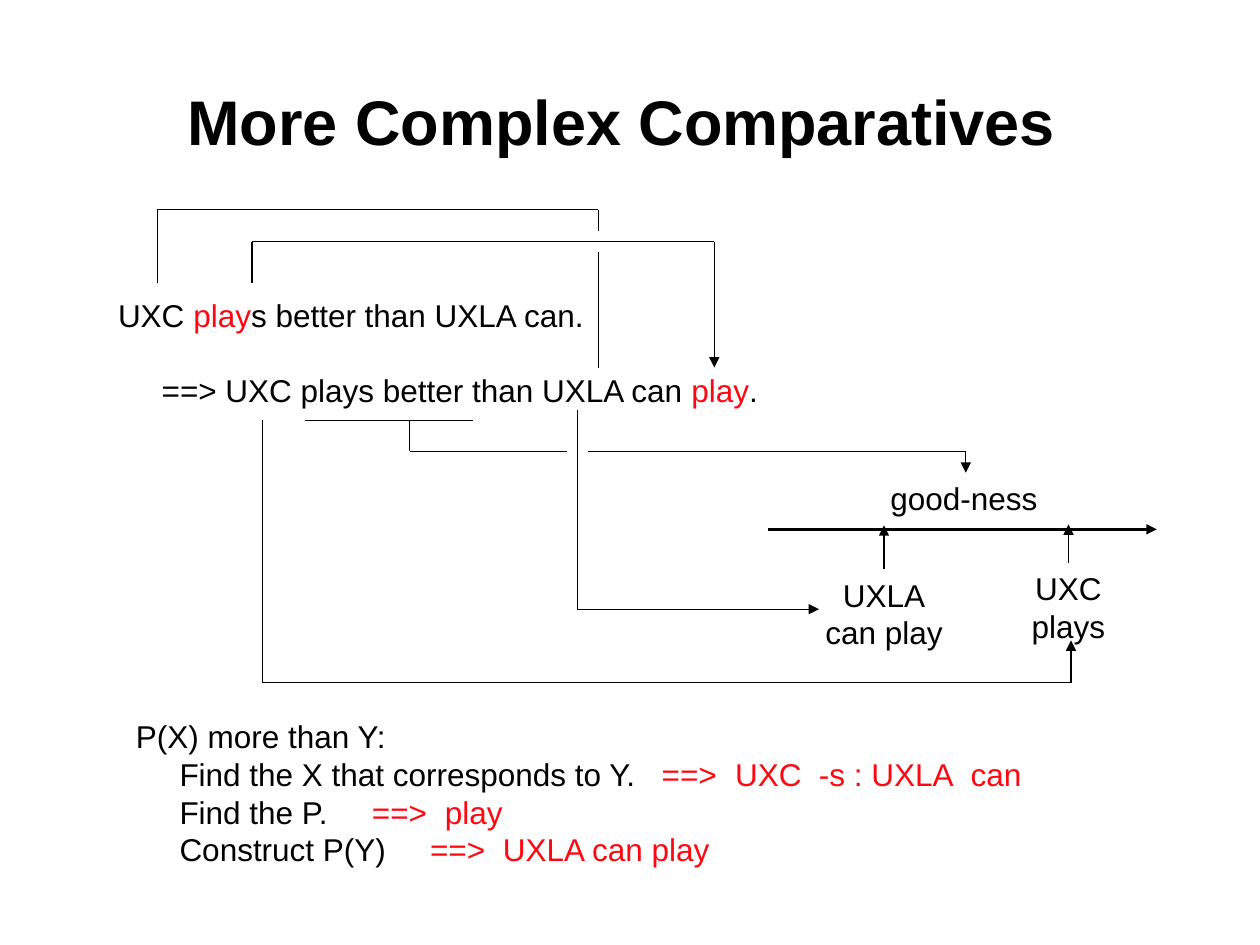
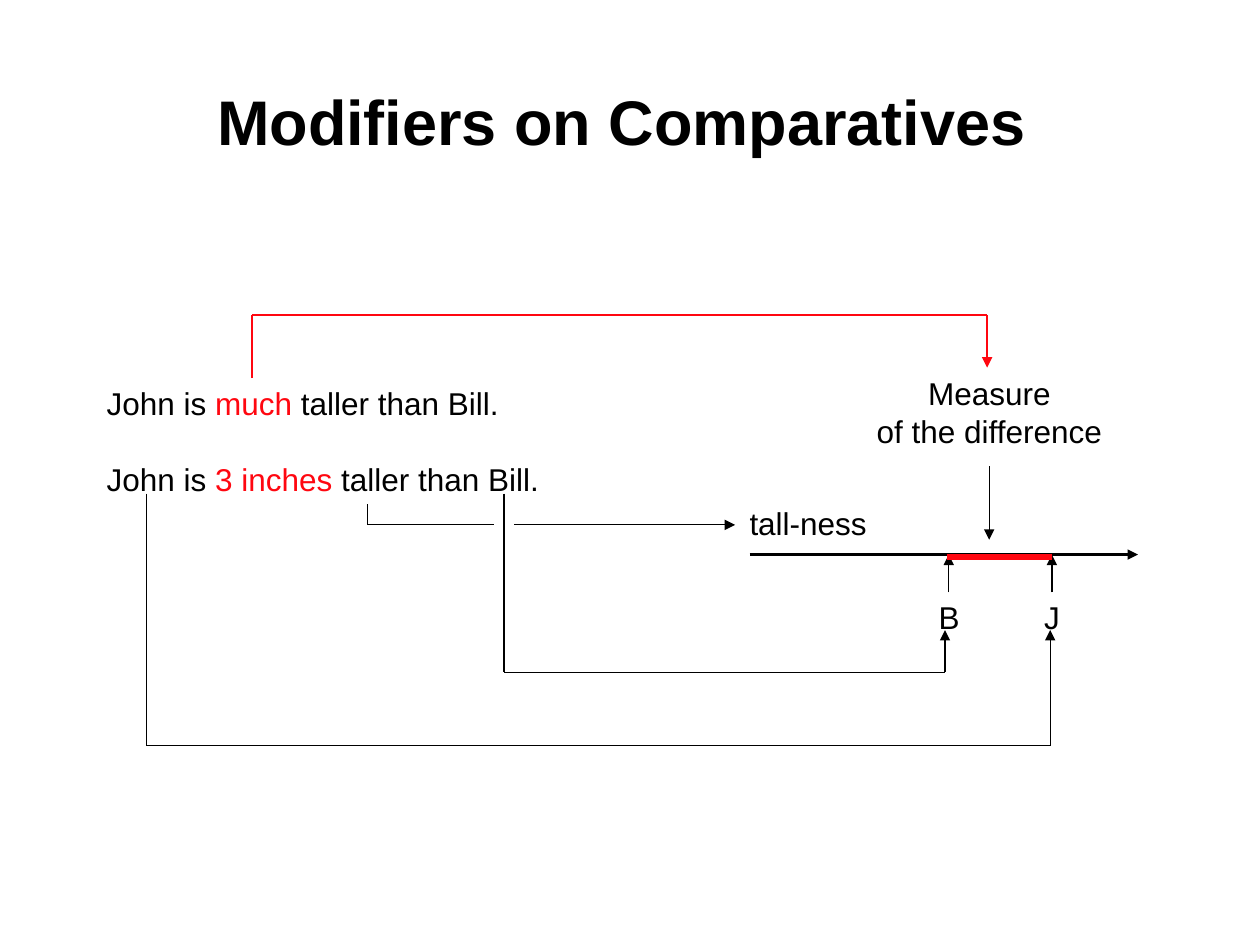
from dataclasses import dataclass
from itertools import pairwise

from pptx import Presentation
from pptx.dml.color import RGBColor
from pptx.enum import shapes, text
from pptx.oxml import ns, xmlchemy as xml
from pptx.util import Cm, Pt


@dataclass(frozen=True)
class Theme:
    font: str = "Arial"
    ink: RGBColor = RGBColor(0, 0, 0)
    red: RGBColor = RGBColor(0xFF, 0x07, 0x10)
    head: float = 36
    body: float = 18
    pitch: float = 21.6
    thin: float = 0.75
    bold: float = 1.5
    thick: float = 3


T = Theme()


@dataclass(frozen=True)
class Para:
    text: str
    tabs: tuple[float, ...] = ()
    gap: float = 0


@dataclass(frozen=True)
class Note:
    box: tuple[float, float, float, float]
    paras: tuple[Para, ...]
    mid: bool = False
    wrap: bool = False
    tick: float | None = None


@dataclass(frozen=True)
class Route:
    points: tuple[tuple[float, float], ...]
    arrow: bool = False
    color: RGBColor = T.ink
    width: float = T.thin


@dataclass(frozen=True)
class Page:
    title: str
    notes: tuple[Note, ...]
    routes: tuple[Route, ...]


def add_text(slide, box, paras: tuple[Para, ...], *, size=T.body, bold=False,
             mid=False, wrap=False, fit=True, pitch=None):
    shape = slide.shapes.add_textbox(*map(Cm, box))
    frame = shape.text_frame
    frame.word_wrap = wrap
    frame.auto_size = (text.MSO_AUTO_SIZE.SHAPE_TO_FIT_TEXT if fit
                       else text.MSO_AUTO_SIZE.NONE)
    frame.vertical_anchor = text.MSO_ANCHOR.TOP if fit else text.MSO_ANCHOR.MIDDLE
    for i, para in enumerate(paras):
        line = frame.add_paragraph() if i else frame.paragraphs[0]
        line.alignment = text.PP_ALIGN.CENTER if mid else text.PP_ALIGN.LEFT
        line.space_before = Pt(para.gap)
        if pitch:
            line.line_spacing = Pt(pitch)
        if para.tabs:
            stops = xml.OxmlElement("a:tabLst")
            for pos in para.tabs:
                stop = xml.OxmlElement("a:tab")
                stop.set("pos", str(Cm(pos)))
                stop.set("algn", "l")
                stops.append(stop)
            line._p.get_or_add_pPr().append(stops)
        for n, part in enumerate(para.text.split("*")):
            if part:
                run = line.add_run()
                run.text = part
                run.font.name = T.font
                run.font.size = Pt(size)
                run.font.bold = bold
                run.font.color.rgb = T.red if n % 2 else T.ink
    return shape


def add_line(slide, start, end, color=T.ink, width=T.thin, arrow=False):
    line = slide.shapes.add_connector(
        shapes.MSO_CONNECTOR.STRAIGHT, *map(Cm, (*start, *end)))
    line.line.color.rgb = color
    line.line.width = Pt(width)
    if arrow:
        tip = xml.OxmlElement("a:tailEnd")
        tip.set("type", "triangle")
        line.line._get_or_add_ln().append(tip)
    props = line._element.find(ns.qn("p:spPr"))
    props.append(xml.OxmlElement("a:effectLst"))
    return line


def draw_note(slide, note: Note) -> None:
    shape = add_text(slide, note.box, note.paras, mid=note.mid,
                     wrap=note.wrap, pitch=T.pitch)
    if note.tick is not None:
        left, top, width, _ = note.box
        x = left + width / 2
        line = add_line(slide, (x, top), (x, note.tick), arrow=True)
        line.begin_connect(shape, 0)


def draw_route(slide, route: Route) -> None:
    legs = list(pairwise(route.points))
    for i, (start, end) in enumerate(legs, 1):
        add_line(slide, start, end, route.color, route.width,
                 route.arrow and i == len(legs))


def draw_page(deck, page: Page) -> None:
    slide = deck.slides.add_slide(deck.slide_layouts[6])
    add_text(slide, (1.73, 0.84, 21.6, 3.18), (Para(page.title),),
             size=T.head, bold=True, mid=True, wrap=True, fit=False)
    for note in page.notes:
        draw_note(slide, note)
    for route in page.routes:
        draw_route(slide, route)


PAGES = (
    Page(
        "More Complex Comparatives",
        (
            Note((2.13, 5.84, 13.46, 2.54), (
                Para("UXC *play*s better than UXLA can."),
                Para("\t==> UXC plays better than UXLA can *play*.",
                     (0.88,), T.pitch),
            )),
            Note((20.44, 11.35, 2.2, 1.78), (Para("UXC"), Para("plays")),
                 mid=True, tick=10.57),
            Note((16.32, 11.48, 3, 1.78), (Para("UXLA"), Para("can play")),
                 mid=True, tick=10.59),
            Note((17.7, 9.53, 3.8, 1.02), (Para("good-ness"),)),
            Note((2.49, 14.33, 18.8, 3.3), (
                Para("P(X) more than Y:"),
                Para("\tFind the X that corresponds to Y.\t*==>\tUXC\t-s : UXLA\tcan*",
                     (0.88, 10.6, 12.08, 13.77, 16.83)),
                Para("\tFind the P.\t*==>\tplay*", (0.88, 4.76, 6.23)),
                Para("\tConstruct P(Y)\t*==>\tUXLA can play*",
                     (0.88, 5.93, 7.4)),
            ), wrap=True),
        ),
        (
            Route(((15.49, 10.67), (23.32, 10.67)), True, width=T.bold),
            Route(((5.08, 5.71), (5.08, 4.87), (14.4, 4.87), (14.4, 7.41)), True),
            Route(((3.17, 5.71), (3.17, 4.23), (12.06, 4.23), (12.06, 4.66))),
            Route(((12.06, 5.08), (12.06, 7.41))),
            Route(((6.14, 8.47), (9.53, 8.47))),
            Route(((5.29, 8.47), (5.29, 13.76), (21.59, 13.76), (21.59, 12.91)), True),
            Route(((11.64, 8.26), (11.64, 12.28), (16.51, 12.28)), True),
            Route(((8.26, 8.47), (8.26, 9.1), (11.43, 9.1))),
            Route(((11.85, 9.1), (19.47, 9.1), (19.47, 9.53)), True),
        ),
    ),
    Page(
        "Modifiers on Comparatives",
        (
            Note((1.9, 7.62, 9.22, 2.54), (
                Para("John is *much* taller than Bill."),
                Para("John is *3 inches* taller than Bill.", gap=T.pitch),
            )),
            Note((20.8, 11.94, 0.81, 1.02), (Para("J"),), mid=True, tick=11.18),
            Note((18.67, 11.94, 0.91, 1.02), (Para("B"),), mid=True, tick=11.18),
            Note((14.86, 10.03, 3, 1.02), (Para("tall-ness"),)),
            Note((17.42, 7.42, 5.05, 1.78),
                 (Para("Measure"), Para("of the difference")), mid=True),
        ),
        (
            Route(((15.11, 11.18), (22.94, 11.18)), True, width=T.bold),
            Route(((19.1, 11.23), (21.21, 11.23)), color=T.red, width=T.thick),
            Route(((19.94, 9.4), (19.94, 10.88)), True),
            Route(((10.16, 9.95), (10.16, 13.55), (19.05, 13.55), (19.05, 12.7)), True),
            Route(((2.96, 9.95), (2.96, 15.03), (21.17, 15.03), (21.17, 12.7)), True),
            Route(((7.41, 10.16), (7.41, 10.58), (9.95, 10.58))),
            Route(((10.37, 10.58), (14.82, 10.58)), True),
            Route(((5.08, 7.62), (5.08, 6.35), (19.9, 6.35), (19.9, 7.41)),
                  True, T.red),
        ),
    ),
)


def main() -> None:
    deck = Presentation()
    deck.slide_width, deck.slide_height = Cm(25.4), Cm(19.05)
    for page in PAGES:
        draw_page(deck, page)
    deck.save("out.pptx")


if __name__ == "__main__":
    main()
